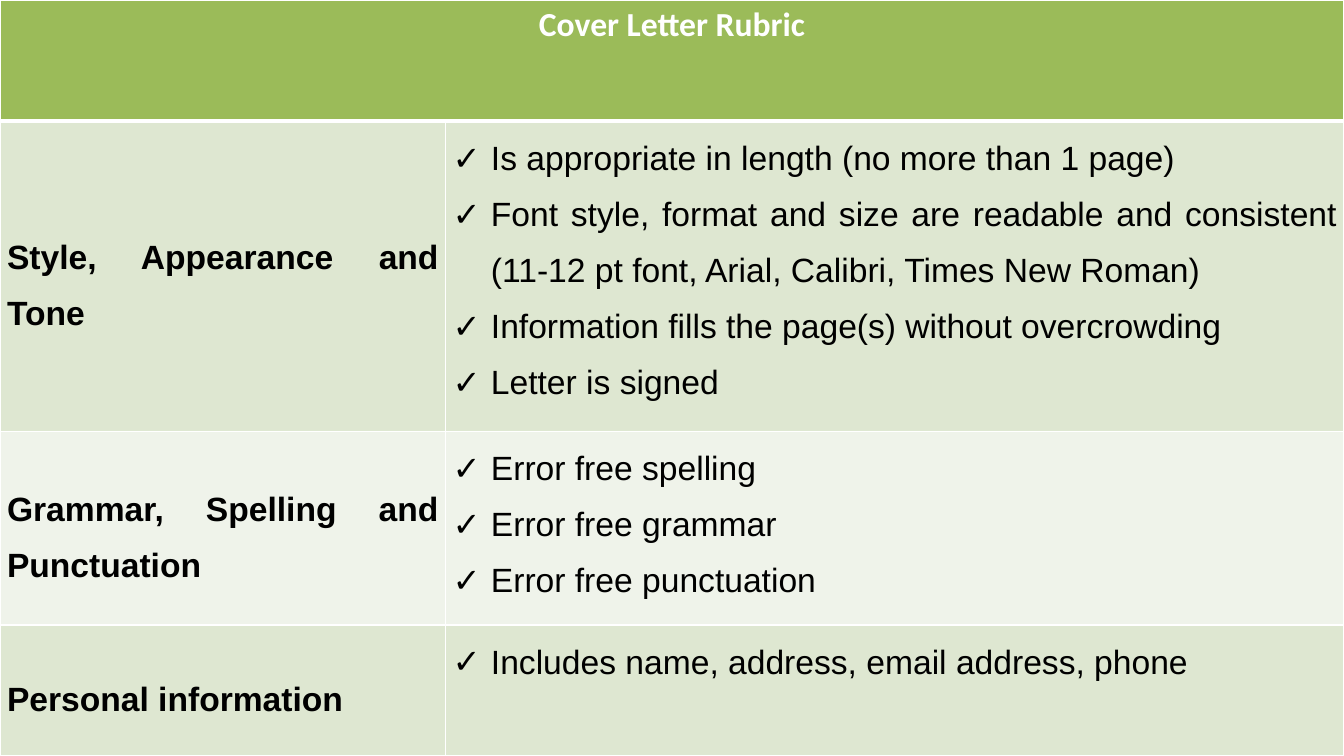
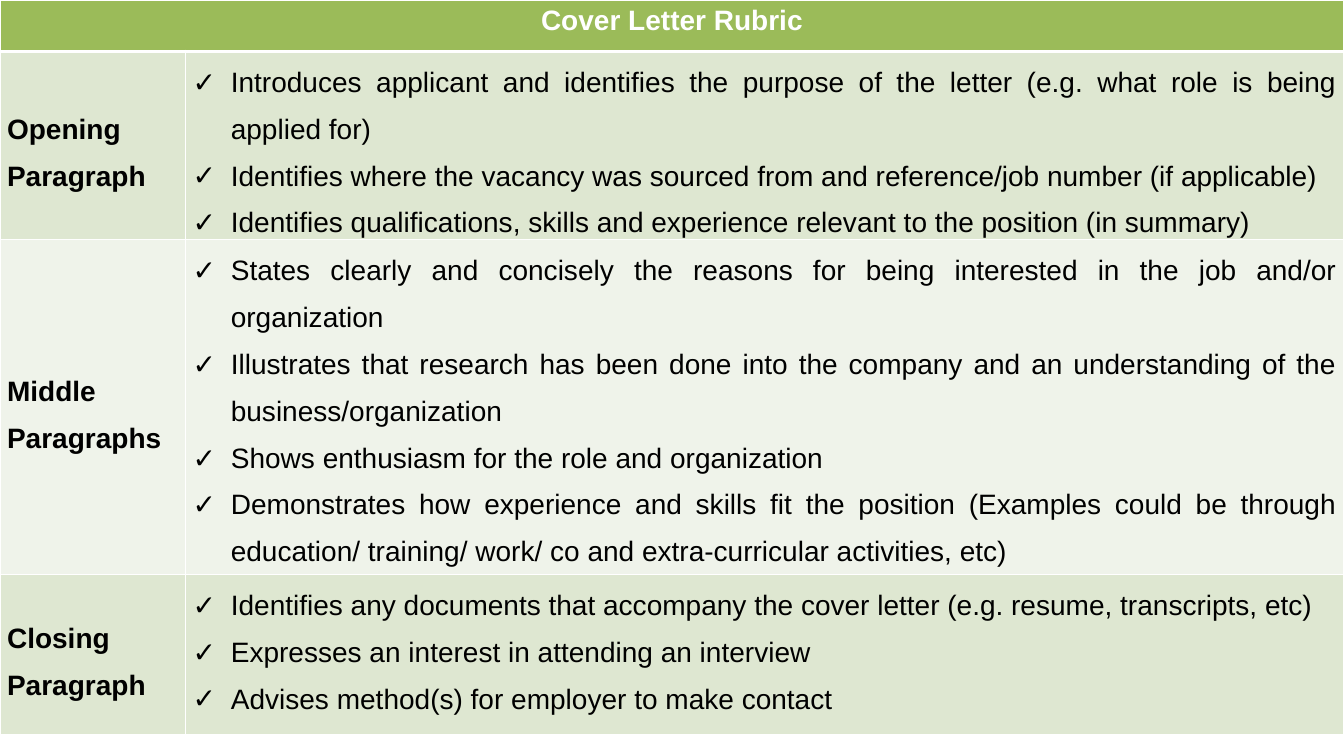
from lxml.etree import SubElement
from pptx import Presentation
from pptx.dml.color import RGBColor
from pptx.enum.text import MSO_ANCHOR as Anchor, PP_ALIGN as Align
from pptx.oxml import parse_xml
from pptx.oxml.ns import nsdecls, qn
from pptx.util import Inches, Pt

# Shared look
COLORS = {"header": "9BBB59", "odd": "DEE7D1", "even": "EFF3EA",
          "border": "FFFFFF", "light": "FFFFFF", "dark": "000000"}
SLIDE_W, SLIDE_H = 13.33, 7.5
TITLE = "Cover Letter Rubric"
BODY_FONT = "Arial"
HANG = Inches(0.38)

INSETS = {"margin_left": Inches(0.07), "margin_right": Inches(0.07),
          "margin_top": 0, "margin_bottom": 0}
HEADER_PARA = {"alignment": Align.CENTER}
LABEL_PARA = {"alignment": Align.JUSTIFY, "line_spacing": 1.5, "space_before": Pt(3)}
BULLET_PARA = {"alignment": Align.JUSTIFY, "line_spacing": 1.5}

# One entry per slide; each row is (label, criteria)
SLIDES = [
    {"size": 24, "title_font": "Calibri", "label_width": 4.42,
     "heights": [1.2, 3.08, 1.92, 1.3],
     "rows": [
         ("Style, Appearance and Tone", [
             "Is appropriate in length (no more than 1 page)",
             "Font style, format and size are readable and consistent "
             "(11-12 pt font, Arial, Calibri, Times New Roman)",
             "Information fills the page(s) without overcrowding",
             "Letter is signed"]),
         ("Grammar, Spelling and Punctuation", [
             "Error free spelling",
             "Error free grammar",
             "Error free punctuation"]),
         ("Personal information", [
             "Includes name, address, email address, phone"])]},
    {"size": 20, "title_font": "Arial", "label_width": 1.84,
     "heights": [0.51, 1.87, 3.32, 1.59],
     "rows": [
         ("Opening Paragraph", [
             "Introduces applicant and identifies the purpose of the letter "
             "(e.g. what role is being applied for)",
             "Identifies where the vacancy was sourced from and "
             "reference/job number (if applicable)",
             "Identifies qualifications, skills and experience relevant to "
             "the position (in summary)"]),
         ("Middle Paragraphs", [
             "States clearly and concisely the reasons for being interested "
             "in the job and/or organization",
             "Illustrates that research has been done into the company and "
             "an understanding of the business/organization",
             "Shows enthusiasm for the role and organization",
             "Demonstrates how experience and skills fit the position "
             "(Examples could be through education/ training/ work/ co and "
             "extra-curricular activities, etc)"]),
         ("Closing Paragraph", [
             "Identifies any documents that accompany the cover letter "
             "(e.g. resume, transcripts, etc)",
             "Expresses an interest in attending an interview",
             "Advises method(s) for employer to make contact"])]},
]


def apply(obj, values):
    for name, value in values.items():
        setattr(obj, name, value)


def set_borders(cell, top=1, bottom=1):
    tcPr = cell._tc.get_or_add_tcPr()
    widths = {"lnL": 1, "lnR": 1, "lnT": top, "lnB": bottom}
    for i, (tag, width) in enumerate(widths.items()):
        tcPr.insert(i, parse_xml(
            f'<a:{tag} {nsdecls("a")} w="{Pt(width)}"><a:solidFill>'
            f'<a:srgbClr val="{COLORS["border"]}"/></a:solidFill></a:{tag}>'))


def style_cell(cell, fill, **border_widths):
    cell.fill.solid()
    cell.fill.fore_color.rgb = RGBColor.from_string(COLORS[fill])
    set_borders(cell, **border_widths)


def add_check(p):
    pPr = p._p.get_or_add_pPr()
    pPr.set("marL", str(HANG))
    pPr.set("indent", str(-HANG))
    SubElement(pPr, qn("a:buFont")).set("typeface", BODY_FONT)
    SubElement(pPr, qn("a:buChar")).set("char", "✓")


def write(cell, lines, para, size, font=BODY_FONT, color="dark", bold=False, checks=False):
    tf = cell.text_frame
    for i, line in enumerate(lines):
        p = tf.add_paragraph() if i else tf.paragraphs[0]
        apply(p, para)
        if checks:
            add_check(p)
        r = p.add_run()
        r.text = line
        apply(r.font, {"name": font, "size": Pt(size), "bold": bold})
        r.font.color.rgb = RGBColor.from_string(COLORS[color])


def add_rubric(prs, size, title_font, label_width, heights, rows):
    s = prs.slides.add_slide(prs.slide_layouts[6])
    table = s.shapes.add_table(len(heights), 2, 0, 0, Inches(SLIDE_W),
                               Inches(sum(heights))).table
    table.horz_banding = False
    for column, width in zip(table.columns, (label_width, SLIDE_W - label_width)):
        column.width = Inches(width)
    for row, height in zip(table.rows, heights):
        row.height = Inches(height)

    # Header across both columns
    header = table.cell(0, 0)
    header.merge(table.cell(0, 1))
    for cell in table.rows[0].cells:
        style_cell(cell, "header", bottom=3)
    write(header, [TITLE], HEADER_PARA, size, title_font, "light", bold=True)

    # Label and checklist rows
    for n, (label, criteria) in enumerate(rows, start=1):
        label_cell, list_cell = table.rows[n].cells
        for cell in (label_cell, list_cell):
            apply(cell, INSETS)
            style_cell(cell, "odd" if n % 2 else "even", top=3 if n == 1 else 1)
        label_cell.vertical_anchor = Anchor.MIDDLE
        write(label_cell, [label], LABEL_PARA, size, bold=True)
        write(list_cell, criteria, BULLET_PARA, size, checks=True)


def main():
    prs = Presentation()
    prs.slide_width, prs.slide_height = Inches(SLIDE_W), Inches(SLIDE_H)
    for rubric in SLIDES:
        add_rubric(prs, **rubric)
    prs.save("out.pptx")


if __name__ == "__main__":
    main()
